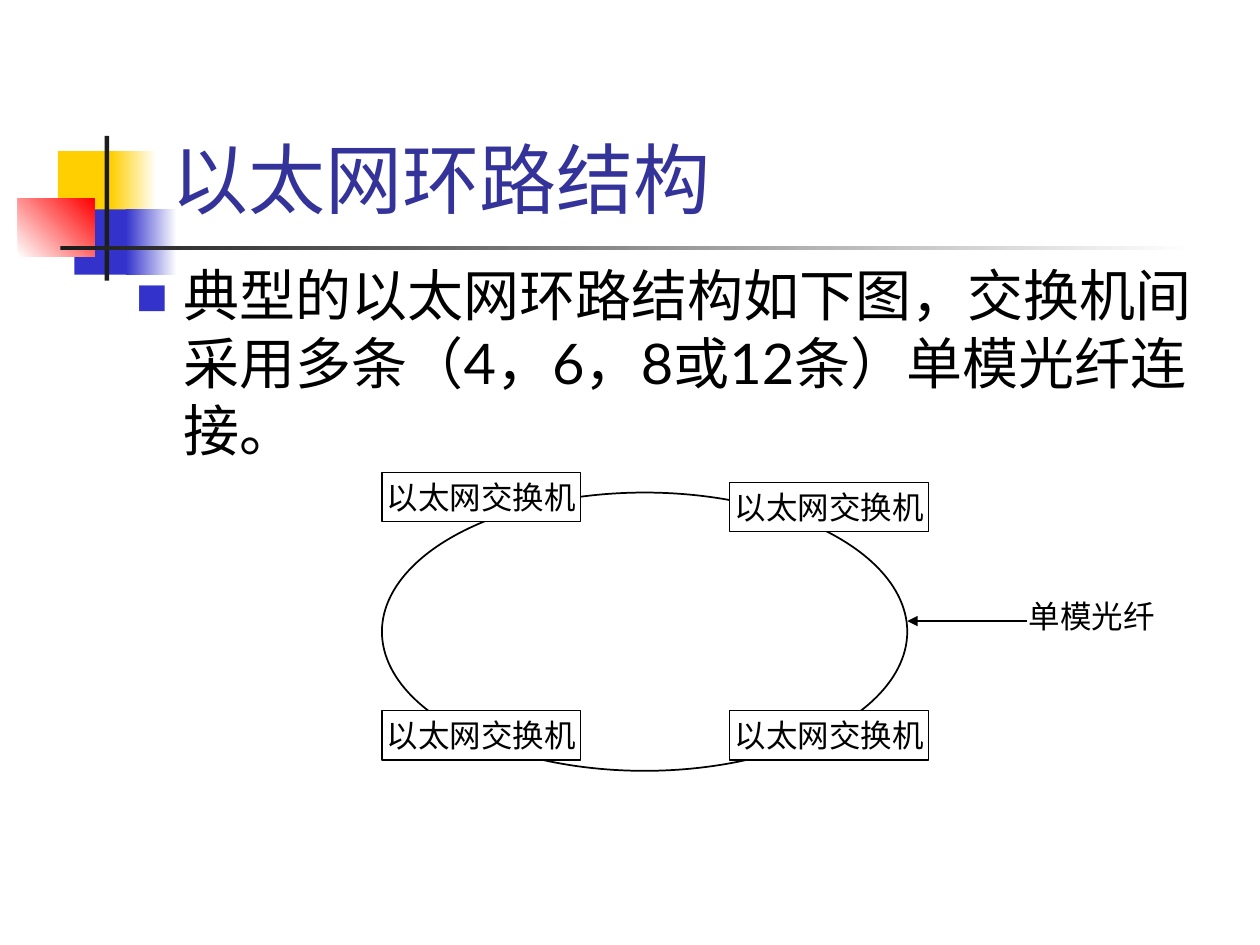
from lxml.etree import SubElement
from pptx import Presentation
from pptx.dml.color import RGBColor
from pptx.enum.shapes import MSO_CONNECTOR, MSO_SHAPE
from pptx.enum.text import MSO_ANCHOR, MSO_AUTO_SIZE, PP_ALIGN
from pptx.oxml.ns import qn
from pptx.util import Cm, Pt

FONT = "Lato"
BLACK = RGBColor(0x00, 0x00, 0x00)
WHITE = RGBColor(0xFF, 0xFF, 0xFF)
YELLOW = RGBColor(0xFF, 0xCF, 0x01)
BLUE = RGBColor(0x33, 0x33, 0xCC)
RED = RGBColor(0xFF, 0x00, 0x00)
CHARCOAL = RGBColor(0x1C, 0x1C, 0x1C)
INDIGO = RGBColor(0x33, 0x33, 0x99)

TITLE = "以太网环路结构"
BODY = "典型的以太网环路结构如下图，交换机间采用多条（4，6，8或12条）单模光纤连接。"
SWITCH = "以太网交换机"
FIBER = "单模光纤"

TITLE_AREA = (3.2, 0.58, 21.64, 4.06)
BODY_AREA = (2.49, 5.13, 22.38, 11.91)
RING_AREA = (7.7, 9.93, 10.59, 5.61)
LABEL_AREA = (19.71, 11.91, 4.6, 1.02)
SWITCH_SIZE = (4.01, 0.99)
SWITCH_CORNERS = [(7.7, 9.53), (7.7, 14.33), (14.71, 9.73), (14.71, 14.33)]
ARROW_START, ARROW_END, ARROW_Y = 20.7, 18.29, 12.52

DECORATION = [
    ((1.17, 3.05, 1.22, 1.32), (YELLOW,), 0),
    ((2.24, 3.05, 0.91, 1.32), (YELLOW, WHITE), 0),
    ((1.5, 4.22, 1.17, 1.32), (BLUE,), 0),
    ((2.54, 4.22, 1.02, 1.32), (BLUE, WHITE), 0),
    ((0.36, 4.01, 1.55, 1.17), (WHITE, RED), 45),
    ((2.11, 2.74, 0.09, 2.92), (CHARCOAL,), 0),
    ((1.22, 4.95, 22.86, 0.09), (CHARCOAL, WHITE), 0),
]


def lengths(area):
    return [Cm(value) for value in area]


def add_plain(shapes, kind, area, colors=(), angle=0, line=None):
    shape = shapes.add_shape(kind, *lengths(area))
    shape.shadow.inherit = False
    if len(colors) == 2:
        shape.fill.gradient()
        shape.fill.gradient_angle = angle
        for stop, color, position in zip(shape.fill.gradient_stops, colors, (0, 1)):
            stop.color.rgb = color
            stop.position = position
    elif colors:
        shape.fill.solid()
        shape.fill.fore_color.rgb = colors[0]
    else:
        shape.fill.background()
    if line:
        shape.line.color.rgb = BLACK
        shape.line.width = Pt(line)
    else:
        shape.line.fill.background()
    return shape


def add_bullet(para, char, color, percent):
    properties = para._p.get_or_add_pPr()
    properties.set("marL", str(Cm(0.95)))
    properties.set("indent", str(-Cm(0.95)))
    bullet_color = SubElement(properties, qn("a:buClr"))
    SubElement(bullet_color, qn("a:srgbClr"), val=str(color))
    SubElement(properties, qn("a:buSzPct"), val=str(percent * 1000))
    SubElement(properties, qn("a:buFont"), typeface=FONT)
    SubElement(properties, qn("a:buChar"), char=char)


def write(box, text, size=18, color=BLACK, align=PP_ALIGN.CENTER,
          anchor=MSO_ANCHOR.TOP, wrap=True, bullet=None):
    frame = box.text_frame
    frame.auto_size = MSO_AUTO_SIZE.NONE
    frame.word_wrap = wrap
    frame.vertical_anchor = anchor
    para = frame.paragraphs[0]
    para.alignment = align
    para.space_before = Pt(0)
    if bullet:
        add_bullet(para, *bullet)
    span = para.add_run()
    span.text = text
    span.font.name = FONT
    span.font.size = Pt(size)
    span.font.color.rgb = color


def place(box, area):
    box.left, box.top, box.width, box.height = lengths(area)
    box._element.getparent().append(box._element)


def add_arrow(shapes, start, end):
    arrow = shapes.add_connector(MSO_CONNECTOR.STRAIGHT, *lengths(start + end))
    arrow.line.color.rgb = BLACK
    arrow.line.width = Pt(0.75)
    SubElement(arrow.line._get_or_add_ln(), qn("a:tailEnd"), type="triangle")
    SubElement(arrow._element.spPr, qn("a:effectLst"))


def main():
    deck = Presentation()
    deck.slide_width, deck.slide_height = Cm(25.4), Cm(19.05)
    page = deck.slides.add_slide(deck.slide_layouts[1])
    shapes = page.shapes

    for area, colors, angle in DECORATION:
        add_plain(shapes, MSO_SHAPE.RECTANGLE, area, colors, angle)

    title, body = shapes.title, page.placeholders[1]
    place(title, TITLE_AREA)
    write(title, TITLE, size=44, color=INDIGO, align=PP_ALIGN.LEFT,
          anchor=MSO_ANCHOR.BOTTOM)
    place(body, BODY_AREA)
    write(body, BODY, size=32, align=PP_ALIGN.LEFT, bullet=("■", BLUE, 60))

    network = shapes.add_group_shape().shapes
    add_plain(network, MSO_SHAPE.OVAL, RING_AREA, line=1)
    for corner in SWITCH_CORNERS:
        switch = add_plain(network, MSO_SHAPE.RECTANGLE, corner + SWITCH_SIZE,
                           (WHITE,), line=0.75)
        write(switch, SWITCH, anchor=MSO_ANCHOR.MIDDLE, wrap=False)

    write(shapes.add_textbox(*lengths(LABEL_AREA)), FIBER)
    add_arrow(shapes, (ARROW_START, ARROW_Y), (ARROW_END, ARROW_Y))

    deck.save("out.pptx")


if __name__ == "__main__":
    main()
